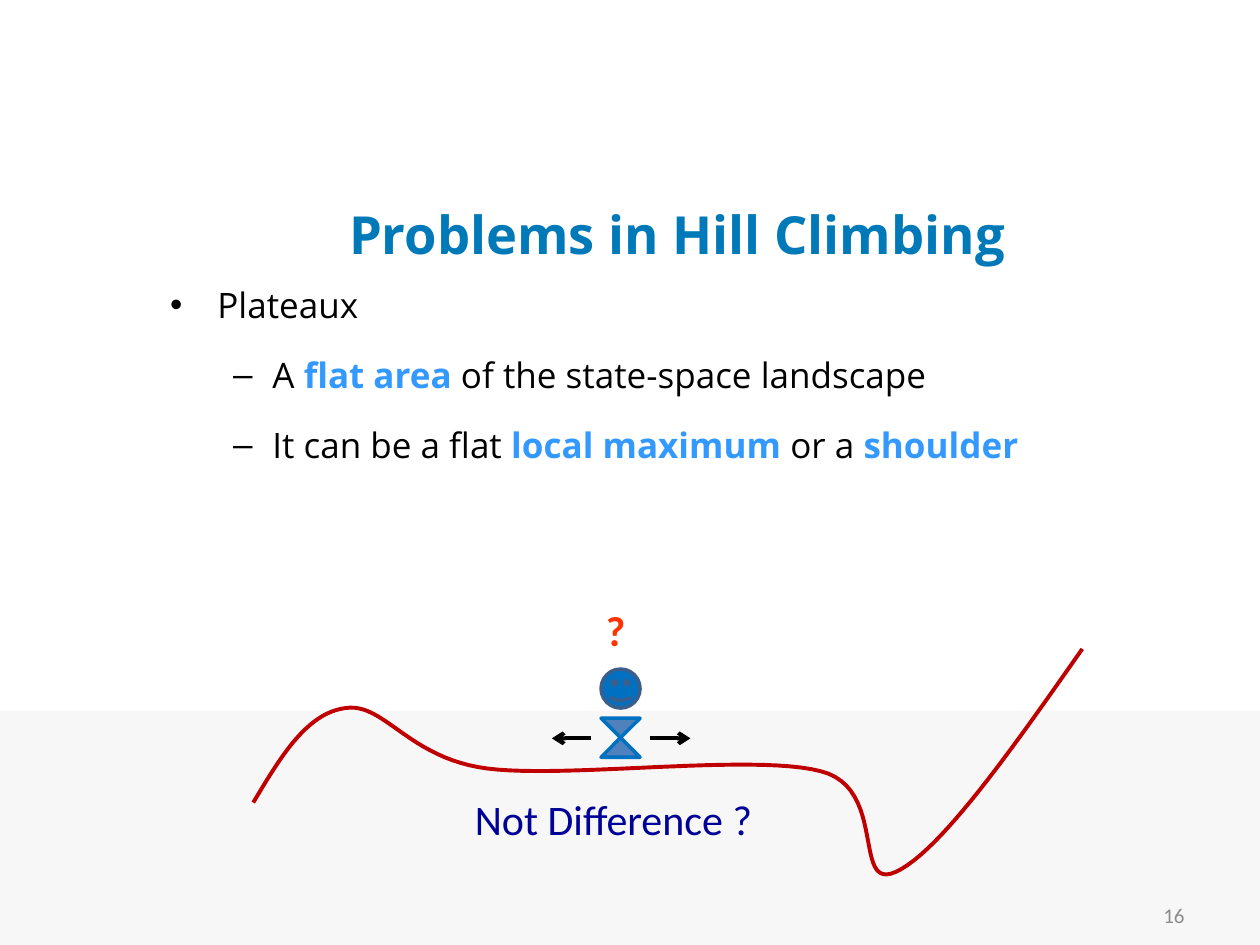
from dataclasses import dataclass

from lxml import etree
from pptx import Presentation
from pptx.dml.color import RGBColor
from pptx.enum.shapes import MSO_CONNECTOR, MSO_SHAPE
from pptx.enum.text import MSO_ANCHOR, PP_ALIGN
from pptx.oxml.ns import qn
from pptx.util import Inches, Pt

RECT = MSO_SHAPE.RECTANGLE
SMILEY = MSO_SHAPE.SMILEY_FACE
HOURGLASS = MSO_SHAPE.FLOWCHART_COLLATE
STRAIGHT = MSO_CONNECTOR.STRAIGHT
LEFT, CENTER, RIGHT = PP_ALIGN.LEFT, PP_ALIGN.CENTER, PP_ALIGN.RIGHT
TOP, MIDDLE = MSO_ANCHOR.TOP, MSO_ANCHOR.MIDDLE

COLORS = {
    "band": "F7F7F7", "title": "0079B8", "text": "000000", "accent": "3399FF",
    "number": "8C8C8C", "curve": "C00000", "question": "FF3300",
    "face": "0070C0", "face_line": "3A5F8C", "body": "4F81BD", "caption": "000099",
}
STEPS = 24


@dataclass
class Label:
    text: str
    box: tuple
    size: int
    color: str
    align: int = LEFT
    anchor: int = TOP
    bold: bool = False


@dataclass
class Figure:
    kind: int
    box: tuple
    fill: str
    line: str = ""


@dataclass
class Bullet:
    level: int
    spacing: float
    runs: tuple


BAND = Figure(RECT, (0, 5.64, 10, 1.86), "band")
CLIMBER = (
    Figure(SMILEY, (4.77, 5.31, 0.31, 0.31), "face", "face_line"),
    Figure(HOURGLASS, (4.77, 5.7, 0.31, 0.31), "body", "face"),
)
LABELS = (
    Label("16", (7.17, 7.06, 2.33, 0.4), 12, "number", RIGHT, MIDDLE),
    Label("?", (4.53, 4.75, 0.71, 0.63), 24, "question", CENTER, bold=True),
    Label("Not Difference ?", (3.67, 6.25, 2.91, 0.5), 24, "caption"),
)
BULLETS = (
    Bullet(0, 1.0, (("Plateaux", False),)),
    Bullet(1, 1.5, (("A ", False), ("flat area ", True),
                    ("of the state-space landscape", False))),
    Bullet(1, 1.5, (("It can be a flat ", False), ("local maximum ", True),
                    ("or a ", False), ("shoulder", True))),
)
ARROWS = ((5.16, 5.48), (4.69, 4.38))
ARROW_Y = 5.86
LANDSCAPE = (
    (2.01, 6.37), (2.22, 6.02), (2.43, 5.66), (2.74, 5.62),
    (3.05, 5.57), (3.24, 6.02), (3.87, 6.1),
    (4.5, 6.18), (5.97, 5.98), (6.51, 6.12),
    (7.05, 6.25), (6.76, 7.08), (7.11, 6.92),
    (7.46, 6.76), (8.03, 5.95), (8.59, 5.15),
)


def rgb(name: str) -> RGBColor:
    return RGBColor.from_string(COLORS[name])


def style_font(font, name: str, size: int, color: str, bold: bool = False) -> None:
    font.name, font.size, font.bold = name, Pt(size), bold
    font.color.rgb = rgb(color)


def style_line(line, color: str, width: float) -> None:
    line.color.rgb = rgb(color)
    line.width = Pt(width)


def place(sp, box: tuple) -> None:
    sp.left, sp.top, sp.width, sp.height = map(Inches, box)


def add_figure(s, figure: Figure):
    sp = s.shapes.add_shape(figure.kind, *map(Inches, figure.box))
    sp.shadow.inherit = False
    sp.fill.solid()
    sp.fill.fore_color.rgb = rgb(figure.fill)
    if figure.line:
        style_line(sp.line, figure.line, 2)
    else:
        sp.line.fill.background()
    return sp


def add_label(s, label: Label) -> None:
    tf = s.shapes.add_textbox(*map(Inches, label.box)).text_frame
    tf.word_wrap = True
    tf.vertical_anchor = label.anchor
    p = tf.paragraphs[0]
    p.text, p.alignment = label.text, label.align
    style_font(p.font, "Calibri", label.size, label.color, label.bold)


def add_arrow(s, start: float, end: float, y: float) -> None:
    line = s.shapes.add_connector(STRAIGHT, Inches(start), Inches(y), Inches(end), Inches(y))
    style_line(line.line, "text", 2.25)
    etree.SubElement(line.line._get_or_add_ln(), qn("a:tailEnd"), type="arrow")
    etree.SubElement(line._element.spPr, qn("a:effectLst"))


def bezier(a: tuple, b: tuple, c: tuple, d: tuple, t: float) -> tuple:
    u = 1 - t
    return tuple(
        Inches(u**3 * i + 3 * u**2 * t * j + 3 * u * t**2 * k + t**3 * m)
        for i, j, k, m in zip(a, b, c, d)
    )


def add_curve(s, points: tuple) -> None:
    builder = s.shapes.build_freeform(*map(Inches, points[0]))
    builder.add_line_segments(
        [bezier(*points[i:i + 4], step / STEPS)
         for i in range(0, len(points) - 1, 3) for step in range(1, STEPS + 1)],
        close=False,
    )
    sp = builder.convert_to_shape()
    sp.shadow.inherit = False
    sp.fill.background()
    style_line(sp.line, "curve", 2.25)


def fill_title(sp) -> None:
    place(sp, (1.25, 1.5, 8.25, 0.7))
    p = sp.text_frame.paragraphs[0]
    p.text, p.alignment = "Problems in Hill Climbing", CENTER
    style_font(p.font, "Open Sans", 30, "title", True)


def fill_body(sp, bullets: tuple) -> None:
    place(sp, (1.25, 2.2, 8.32, 4.88))
    tf = sp.text_frame
    for i, bullet in enumerate(bullets):
        p = tf.add_paragraph() if i else tf.paragraphs[0]
        p.level, p.line_spacing = bullet.level, bullet.spacing
        for text, accented in bullet.runs:
            r = p.add_run()
            r.text = text
            style_font(r.font, "Open Sans", 20, "accent" if accented else "text", accented)


def main() -> None:
    prs = Presentation()
    prs.slide_width, prs.slide_height = Inches(10), Inches(7.5)
    s = prs.slides.add_slide(prs.slide_layouts[1])
    band = add_figure(s, BAND)
    s.shapes._spTree.insert(2, band._element)
    fill_title(s.shapes.title)
    fill_body(s.placeholders[1], BULLETS)
    add_curve(s, LANDSCAPE)
    for figure in CLIMBER:
        add_figure(s, figure)
    for start, end in ARROWS:
        add_arrow(s, start, end, ARROW_Y)
    for label in LABELS:
        add_label(s, label)
    prs.save("out.pptx")


if __name__ == "__main__":
    main()
